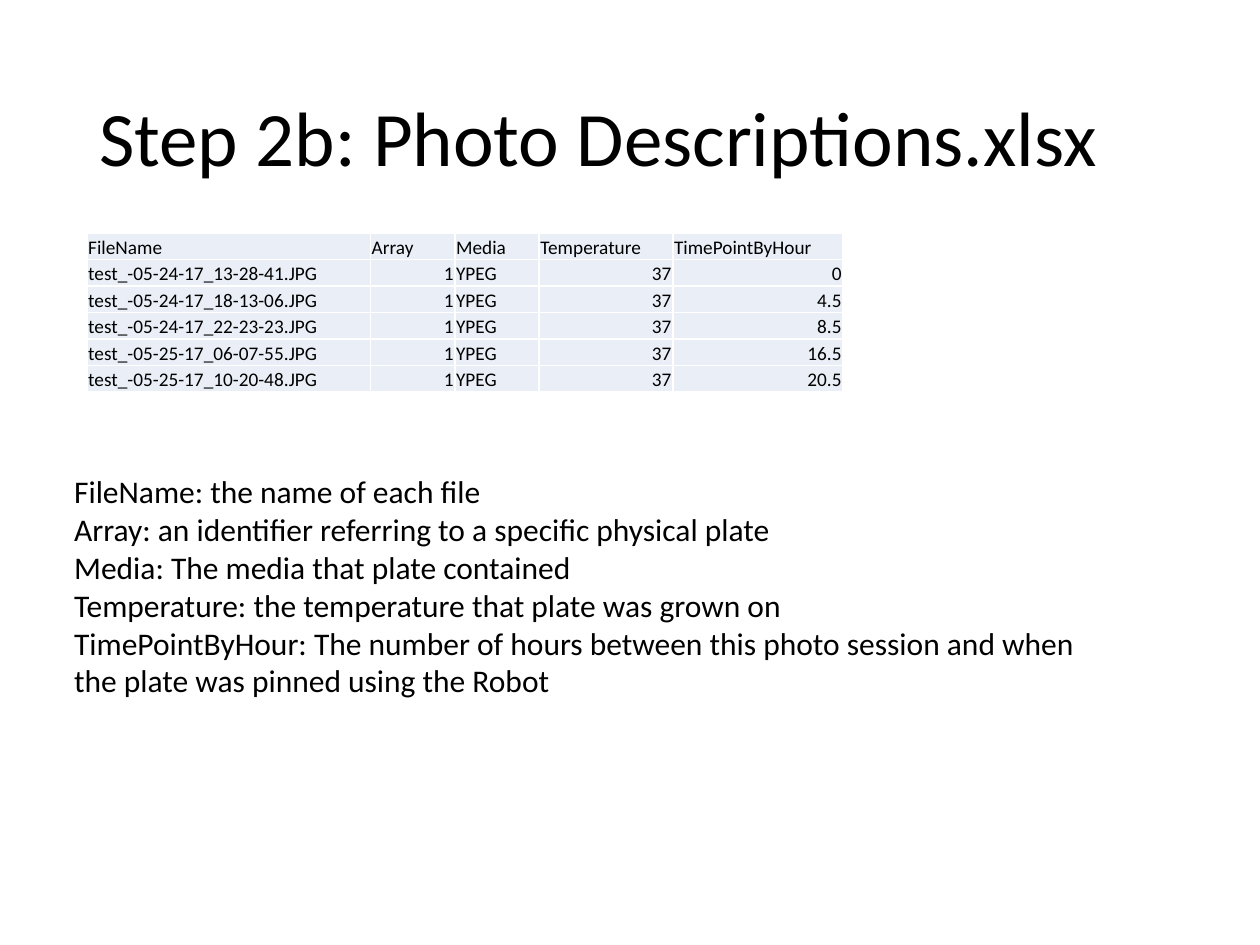
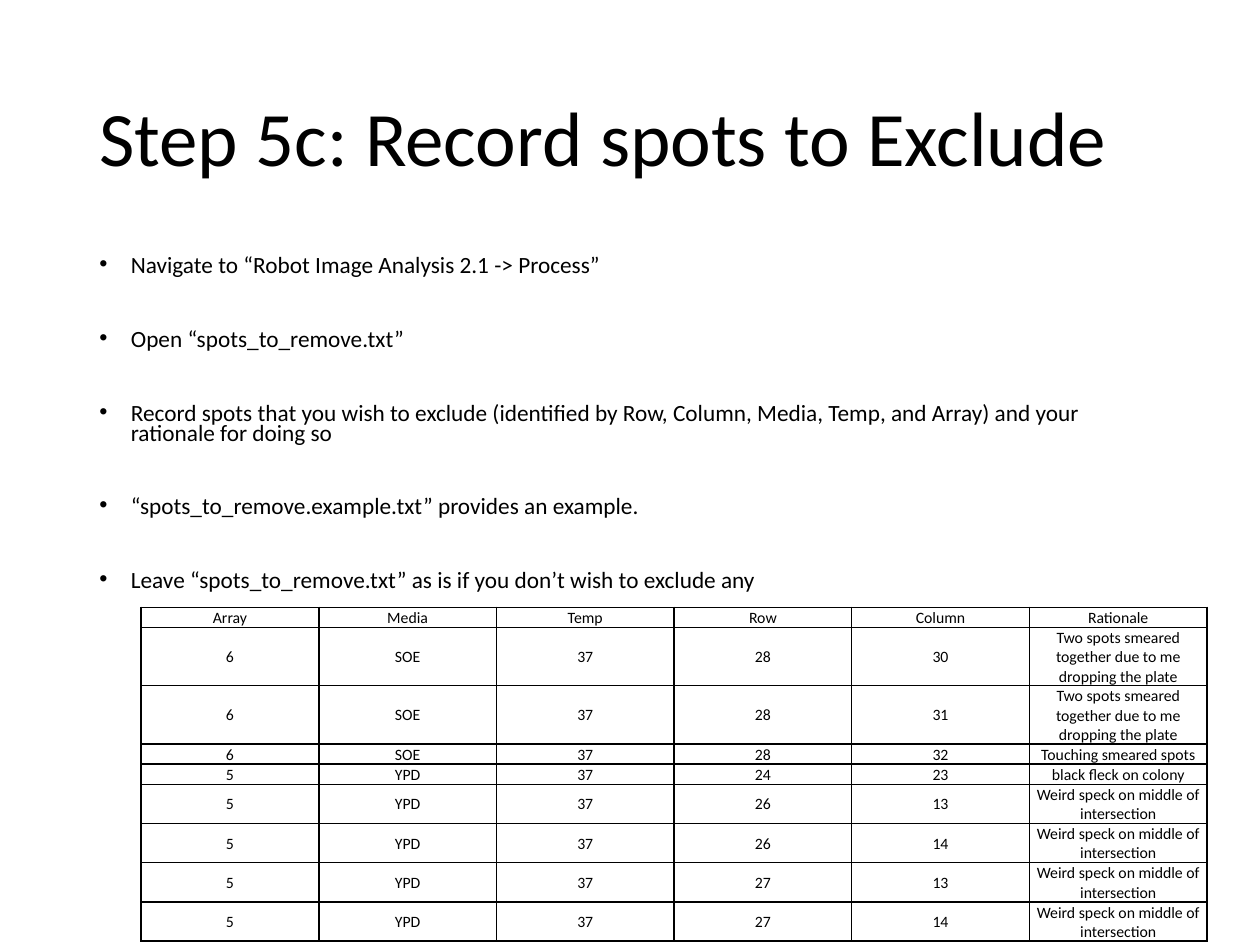
from lxml.etree import SubElement
from pptx import Presentation
from pptx.dml.color import RGBColor
from pptx.enum.text import MSO_ANCHOR, PP_ALIGN
from pptx.oxml.ns import qn
from pptx.util import Inches, Pt

FONT = "Calibri"
COLORS = {"text": "000000", "cell": "EAEFF7", "light_border": "FFFFFF", "dark_border": "000000"}
TITLE_BOX = (0.69, 0.4, 8.62, 1.45)
LINE_HEIGHT = 0.15

PHOTO_HEADER = ["FileName", "Array", "Media", "Temperature", "TimePointByHour"]
PHOTO_TIMES = [
    ("24-17_13-28-41", "0"),
    ("24-17_18-13-06", "4.5"),
    ("24-17_22-23-23", "8.5"),
    ("25-17_06-07-55", "16.5"),
    ("25-17_10-20-48", "20.5"),
]
FIELD_NOTES = [
    "FileName: the name of each file",
    "Array: an identifier referring to a specific physical plate",
    "Media: The media that plate contained",
    "Temperature: the temperature that plate was grown on",
    "TimePointByHour: The number of hours between this photo session and when "
    "the plate was pinned using the Robot",
]
EXCLUDE_STEPS = [
    "Navigate to “Robot Image Analysis 2.1 -> Process”",
    "Open “spots_to_remove.txt”",
    "Record spots that you wish to exclude (identified by Row, Column, Media, Temp, and Array) "
    "and your rationale for doing so",
    "“spots_to_remove.example.txt” provides an example.",
    "Leave “spots_to_remove.txt” as is if you don’t wish to exclude any",
]
SMEARED = "Two spots smeared together due to me dropping the plate"
SPECK = "Weird speck on middle of intersection"
SPOT_HEADER = ["Array", "Media", "Temp", "Row", "Column", "Rationale"]
SPOTS = [
    ("6", "SOE", "28", "30", SMEARED),
    ("6", "SOE", "28", "31", SMEARED),
    ("6", "SOE", "28", "32", "Touching smeared spots"),
    ("5", "YPD", "24", "23", "black fleck on colony"),
    ("5", "YPD", "26", "13", SPECK),
    ("5", "YPD", "26", "14", SPECK),
    ("5", "YPD", "27", "13", SPECK),
    ("5", "YPD", "27", "14", SPECK),
]
SPOT_LINES = [1, 3, 3, 1, 1, 2, 2, 2, 2]


def write_para(para, text, size, align=PP_ALIGN.LEFT, line_spacing=None, space_before=0, bullet=False):
    para.alignment = align
    para.space_before = Pt(space_before)
    if line_spacing:
        para.line_spacing = line_spacing
    if bullet:
        properties = para._p.get_or_add_pPr()
        properties.set("marL", str(Inches(0.25)))
        properties.set("indent", str(Inches(-0.25)))
        SubElement(properties, qn("a:buFont")).set("typeface", "Arial")
        SubElement(properties, qn("a:buChar")).set("char", "•")
    span = para.add_run()
    span.text = text
    span.font.name = FONT
    span.font.size = Pt(size)
    span.font.color.rgb = RGBColor.from_string(COLORS["text"])


def add_text(page, box, texts, size, anchor=MSO_ANCHOR.TOP, gap=0, **paragraph_format):
    frame = page.shapes.add_textbox(*map(Inches, box)).text_frame
    frame.word_wrap = True
    frame.vertical_anchor = anchor
    for index, text in enumerate(texts):
        para = frame.add_paragraph() if index else frame.paragraphs[0]
        write_para(para, text, size, space_before=gap if index else 0, **paragraph_format)


def add_title(page, text):
    add_text(page, TITLE_BOX, [text], 44, anchor=MSO_ANCHOR.MIDDLE, line_spacing=0.9)


def set_borders(cell, color):
    properties = cell._tc.get_or_add_tcPr()
    for side in ("lnL", "lnR", "lnT", "lnB"):
        line = SubElement(properties, qn(f"a:{side}"), w=str(Pt(1)))
        fill = SubElement(line, qn("a:solidFill"))
        SubElement(fill, qn("a:srgbClr"), val=color)


def add_grid(page, corner, widths, heights, rows, size, anchor, border, align_of, fill=None):
    box = (*corner, sum(widths), sum(heights))
    table = page.shapes.add_table(len(rows), len(widths), *map(Inches, box)).table
    table.first_row = table.horz_banding = False
    for column, width in zip(table.columns, widths):
        column.width = Inches(width)
    for row, height in zip(table.rows, heights):
        row.height = Inches(height)
    for row_index, texts in enumerate(rows):
        for column_index, text in enumerate(texts):
            cell = table.cell(row_index, column_index)
            cell.margin_left = cell.margin_right = cell.margin_top = Inches(0.01)
            cell.margin_bottom = 0
            cell.vertical_anchor = anchor
            set_borders(cell, border)
            if fill:
                cell.fill.solid()
                cell.fill.fore_color.rgb = RGBColor.from_string(fill)
            else:
                cell.fill.background()
            write_para(cell.text_frame.paragraphs[0], text, size, align=align_of(text))


def align_numbers_right(text):
    return PP_ALIGN.RIGHT if text.replace(".", "").isdigit() else PP_ALIGN.LEFT


def align_center(text):
    return PP_ALIGN.CENTER


def build_photo_page(page):
    add_title(page, "Step 2b: Photo Descriptions.xlsx")
    add_text(page, (0.49, 3.7, 8.5, 1.92), FIELD_NOTES, 18)
    rows = [PHOTO_HEADER]
    rows += [(f"test_-05-{stamp}.JPG", "1", "YPEG", "37", hour) for stamp, hour in PHOTO_TIMES]
    add_grid(page, (0.69, 1.85), [2.25, 0.67, 0.67, 1.06, 1.35], [0.21] * len(rows), rows, 11,
             MSO_ANCHOR.BOTTOM, COLORS["light_border"], align_numbers_right, fill=COLORS["cell"])


def build_exclude_page(page):
    add_title(page, "Step 5c: Record spots to Exclude")
    add_text(page, (0.69, 2, 8.62, 2.75), EXCLUDE_STEPS, 13.3, gap=31, line_spacing=0.7, bullet=True)
    rows = [SPOT_HEADER]
    rows += [(array, media, "37", row, column, reason) for array, media, row, column, reason in SPOTS]
    heights = [LINE_HEIGHT * lines for lines in SPOT_LINES]
    add_grid(page, (1.12, 4.82), [1.41] * len(SPOT_HEADER), heights, rows, 9,
             MSO_ANCHOR.MIDDLE, COLORS["dark_border"], align_center)


def main():
    deck = Presentation()
    deck.slide_width, deck.slide_height = Inches(10), Inches(7.5)
    for build_page in (build_photo_page, build_exclude_page):
        build_page(deck.slides.add_slide(deck.slide_layouts[6]))
    deck.save("out.pptx")


if __name__ == "__main__":
    main()
